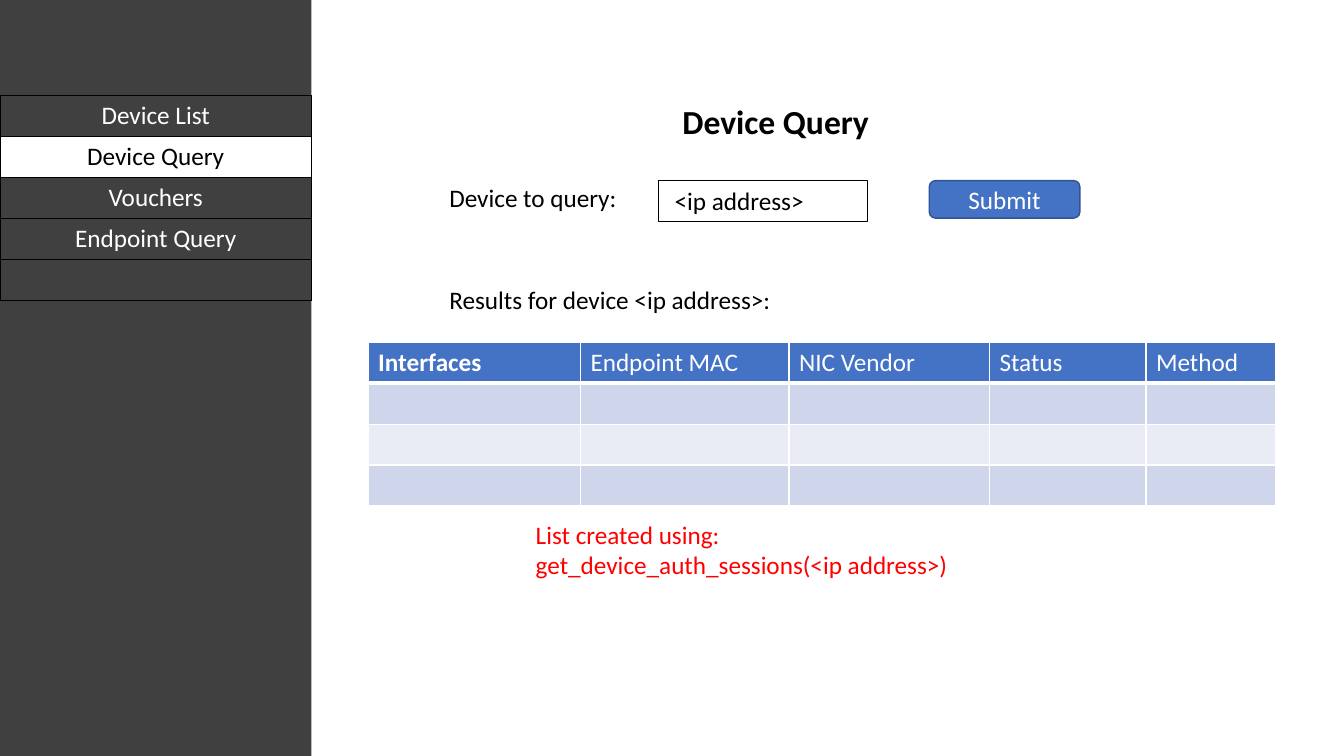
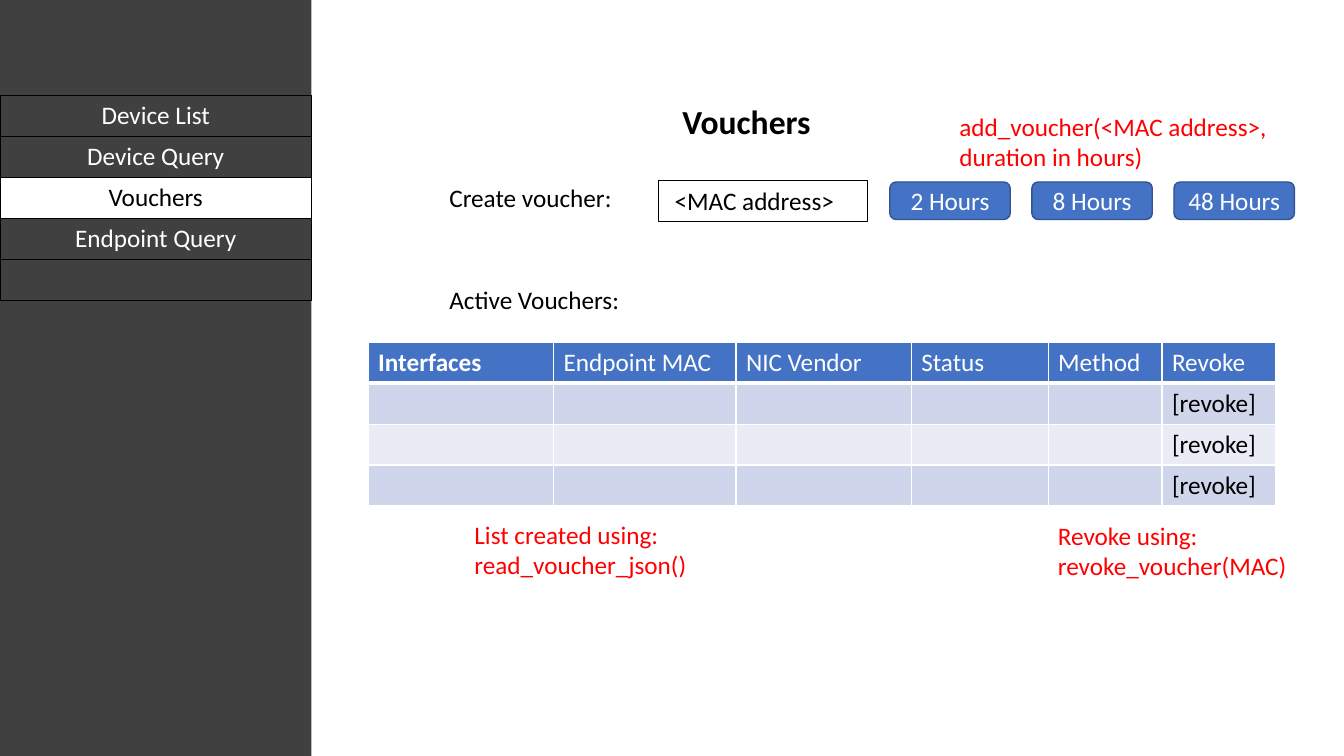
from lxml.etree import SubElement
from pptx import Presentation
from pptx.dml.color import RGBColor
from pptx.enum.shapes import MSO_SHAPE
from pptx.enum.text import MSO_ANCHOR, MSO_AUTO_SIZE, PP_ALIGN
from pptx.oxml.ns import qn
from pptx.util import Pt

FONT = "Calibri"
BLACK, WHITE, RED = "000000", "FFFFFF", "FF0000"
DARK, BLUE, BLUE_LINE = "404040", "4472C4", "325491"
BANDS = ("CFD5EA", "E9EBF5")
SIDEBAR_WIDTH = 222.5
ROW_HEIGHT = 29.2
TOP = 68.4
FORM_TOP = 129
MENU = ["Device List", "Device Query", "Vouchers", "Endpoint Query", ""]


def color(value):
    """Turn a hex string into a colour."""
    return RGBColor.from_string(value)


def box(left, top, width, height):
    """Return the four lengths in points."""
    return Pt(left), Pt(top), Pt(width), Pt(height)


def format_text(text_frame, text_color, size=18, bold=False, align=PP_ALIGN.LEFT):
    """Give every run the same look."""
    for paragraph in text_frame.paragraphs:
        paragraph.alignment = align
        for run in paragraph.runs:
            run.font.name = FONT
            run.font.size = Pt(size)
            run.font.bold = bold
            run.font.color.rgb = color(text_color)


def add_title(slide, text):
    """Place and format the title placeholder."""
    title = slide.shapes.title
    title.left, title.top, title.width, title.height = box(480.2, TOP, 149, 36.4)
    text_frame = title.text_frame
    text_frame.text = text
    text_frame.word_wrap = False
    text_frame.auto_size = MSO_AUTO_SIZE.NONE
    text_frame.vertical_anchor = MSO_ANCHOR.TOP
    format_text(text_frame, BLACK, 24, True)


def add_label(slide, text, left, top, width, text_color=BLACK, height=29.1):
    """Add a plain text box."""
    label = slide.shapes.add_textbox(*box(left, top, width, height))
    label.text_frame.word_wrap = True
    label.text_frame.text = text
    format_text(label.text_frame, text_color)


def add_note(slide, text, left, top, width):
    """Add a red two-line note."""
    add_label(slide, text, left, top, width, RED, 50.9)


def add_block(slide, kind, place, fill=None, line=None, line_width=1):
    """Add a preset shape with a flat fill and outline."""
    shape = slide.shapes.add_shape(kind, *box(*place))
    shape.shadow.inherit = False
    if fill:
        shape.fill.solid()
        shape.fill.fore_color.rgb = color(fill)
    else:
        shape.fill.background()
    if line:
        shape.line.color.rgb = color(line)
        shape.line.width = Pt(line_width)
    else:
        shape.line.fill.background()
    return shape


def add_input(slide, text):
    """Add the outlined entry field."""
    place = (470.6, FORM_TOP, 149, 29.1)
    field = add_block(slide, MSO_SHAPE.RECTANGLE, place, line=BLACK, line_width=0.75)
    text_frame = field.text_frame
    text_frame.text = text
    text_frame.margin_left = Pt(11.3)
    text_frame.vertical_anchor = MSO_ANCHOR.TOP
    format_text(text_frame, BLACK)


def add_button(slide, text, left, top, width):
    """Add a rounded blue button."""
    place = (left, top, width, 26.8)
    button = add_block(slide, MSO_SHAPE.ROUNDED_RECTANGLE, place, BLUE, BLUE_LINE)
    button.text_frame.text = text
    button.text_frame.vertical_anchor = MSO_ANCHOR.MIDDLE
    format_text(button.text_frame, WHITE, align=PP_ALIGN.CENTER)


def set_borders(cell, line_color, **widths):
    """Draw the cell's four borders, 1 pt wide unless a side is given."""
    properties = cell._tc.get_or_add_tcPr()
    for side in "LRTB":
        width = Pt(widths.get(side, 1))
        line = SubElement(properties, qn(f"a:ln{side}"), w=str(width))
        fill = SubElement(line, qn("a:solidFill"))
        SubElement(fill, qn("a:srgbClr"), val=line_color)


def fill_cell(cell, text, fill, text_color, bold=False, align=PP_ALIGN.LEFT):
    """Set a cell's fill and text."""
    cell.fill.solid()
    cell.fill.fore_color.rgb = color(fill)
    cell.text = text
    format_text(cell.text_frame, text_color, bold=bold, align=align)


def add_grid(slide, left, top, widths, row_count):
    """Add a table without automatic styling."""
    place = box(left, top, sum(widths), row_count * ROW_HEIGHT)
    table = slide.shapes.add_table(row_count, len(widths), *place).table
    table.first_row = table.horz_banding = False
    for column, width in zip(table.columns, widths):
        column.width = Pt(width)
    for row in table.rows:
        row.height = Pt(ROW_HEIGHT)
    return table


def add_sidebar(slide, active):
    """Add the dark band and the menu with the active entry lit."""
    add_block(slide, MSO_SHAPE.RECTANGLE, (0, 0, SIDEBAR_WIDTH, 540), DARK)
    menu = add_grid(slide, 0, TOP, [SIDEBAR_WIDTH], len(MENU))
    for index, entry in enumerate(MENU):
        cell = menu.cell(index, 0)
        fill, text_color = (WHITE, BLACK) if entry == active else (DARK, WHITE)
        set_borders(cell, BLACK)
        fill_cell(cell, entry, fill, text_color, align=PP_ALIGN.CENTER)


def add_results(slide, columns, body):
    """Add a banded table from (heading, width) pairs and body rows."""
    table = add_grid(slide, 262.9, 244.6, [width for _, width in columns], len(body) + 1)
    for index, (heading, _) in enumerate(columns):
        cell = table.cell(0, index)
        set_borders(cell, WHITE, B=3)
        fill_cell(cell, heading, BLUE, WHITE, bold=index == 0)
    for row, texts in enumerate(body, 1):
        for index, text in enumerate(texts):
            cell = table.cell(row, index)
            set_borders(cell, WHITE, T=3 if row == 1 else 1)
            fill_cell(cell, text, BANDS[(row - 1) % 2], BLACK)


def add_page(presentation, title, prompt, hint, results_label, columns, body):
    """Add a slide with menu, title, form and results table."""
    slide = presentation.slides.add_slide(presentation.slide_layouts[5])
    add_title(slide, title)
    add_sidebar(slide, title)
    add_results(slide, columns, body)
    add_label(slide, prompt, 313.9, 126.8, 136)
    add_input(slide, hint)
    add_label(slide, results_label, 313.9, 199.6, 250)
    return slide


def add_device_query(presentation):
    """Build the device query slide."""
    columns = [("Interfaces", 151.7), ("Endpoint MAC", 149), ("NIC Vendor", 143.2),
               ("Status", 111.8), ("Method", 92.7)]
    slide = add_page(presentation, "Device Query", "Device to query:", "<ip address>",
                     "Results for device <ip address>:", columns, [[""] * 5] * 3)
    add_button(slide, "Submit", 663.8, FORM_TOP, 107.6)
    add_note(slide, "List created using:\nget_device_auth_sessions(<ip address>)",
             375.6, 367.4, 325.4)


def add_vouchers(presentation):
    """Build the vouchers slide."""
    columns = [("Interfaces", 132.5), ("Endpoint MAC", 130.3), ("NIC Vendor", 125.2),
               ("Status", 97.8), ("Method", 81.3), ("Revoke", 81.3)]
    slide = add_page(presentation, "Vouchers", "Create voucher:", "<MAC address>",
                     "Active Vouchers:", columns, [[""] * 5 + ["[revoke]"]] * 3)
    for index, hours in enumerate((2, 8, 48)):
        add_button(slide, f"{hours} Hours", 635.6 + index * 101.5, 130, 86)
    add_note(slide, "List created using:\nread_voucher_json()", 331.8, 367.4, 325.4)
    add_note(slide, "add_voucher(<MAC address>, duration in hours)", 678.2, 75.8, 235.4)
    add_note(slide, "Revoke using:\nrevoke_voucher(MAC)", 748.6, 368, 198.7)


def main():
    """Build and save the presentation."""
    presentation = Presentation()
    presentation.slide_width, presentation.slide_height = Pt(960), Pt(540)
    add_device_query(presentation)
    add_vouchers(presentation)
    presentation.save("out.pptx")


main()
